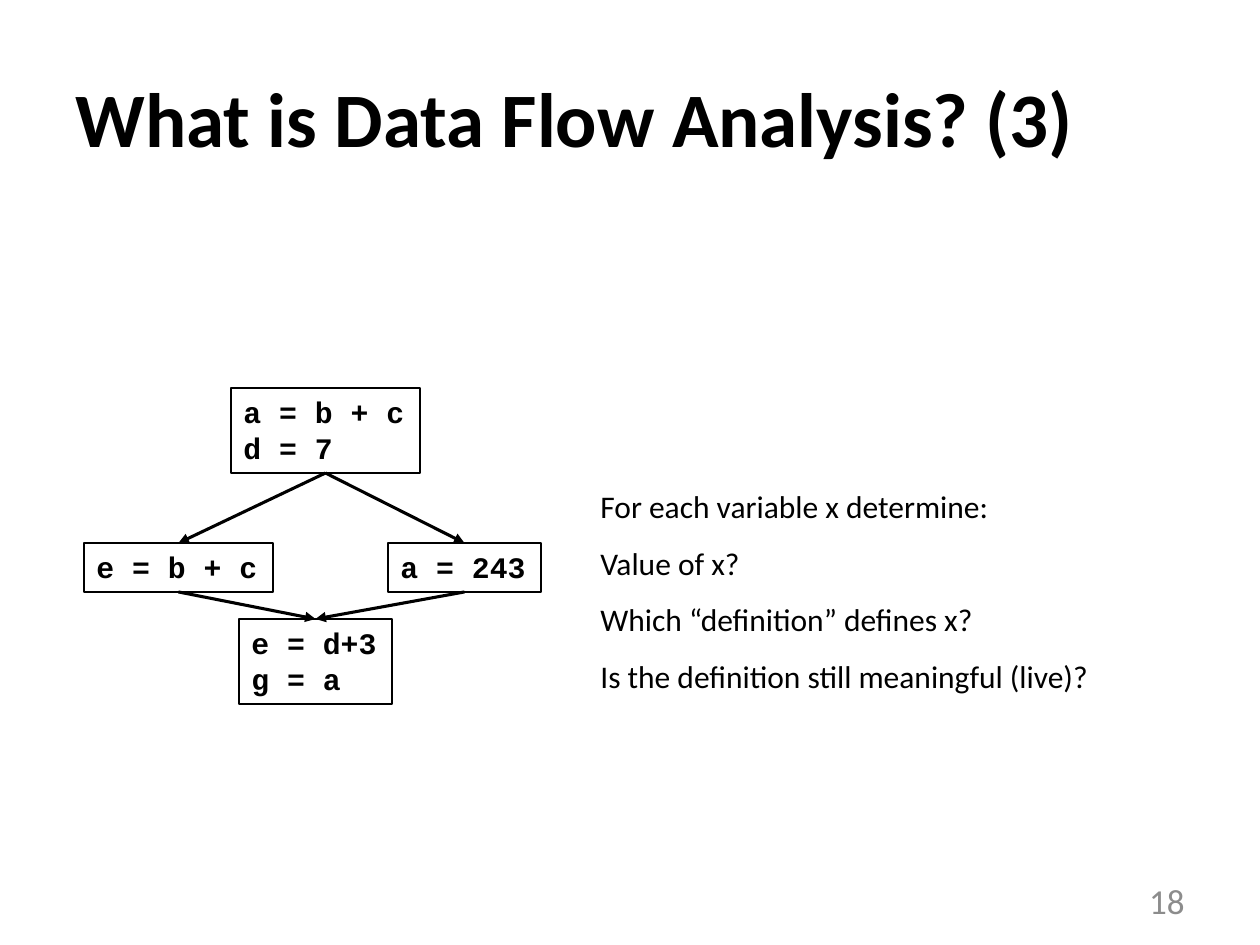
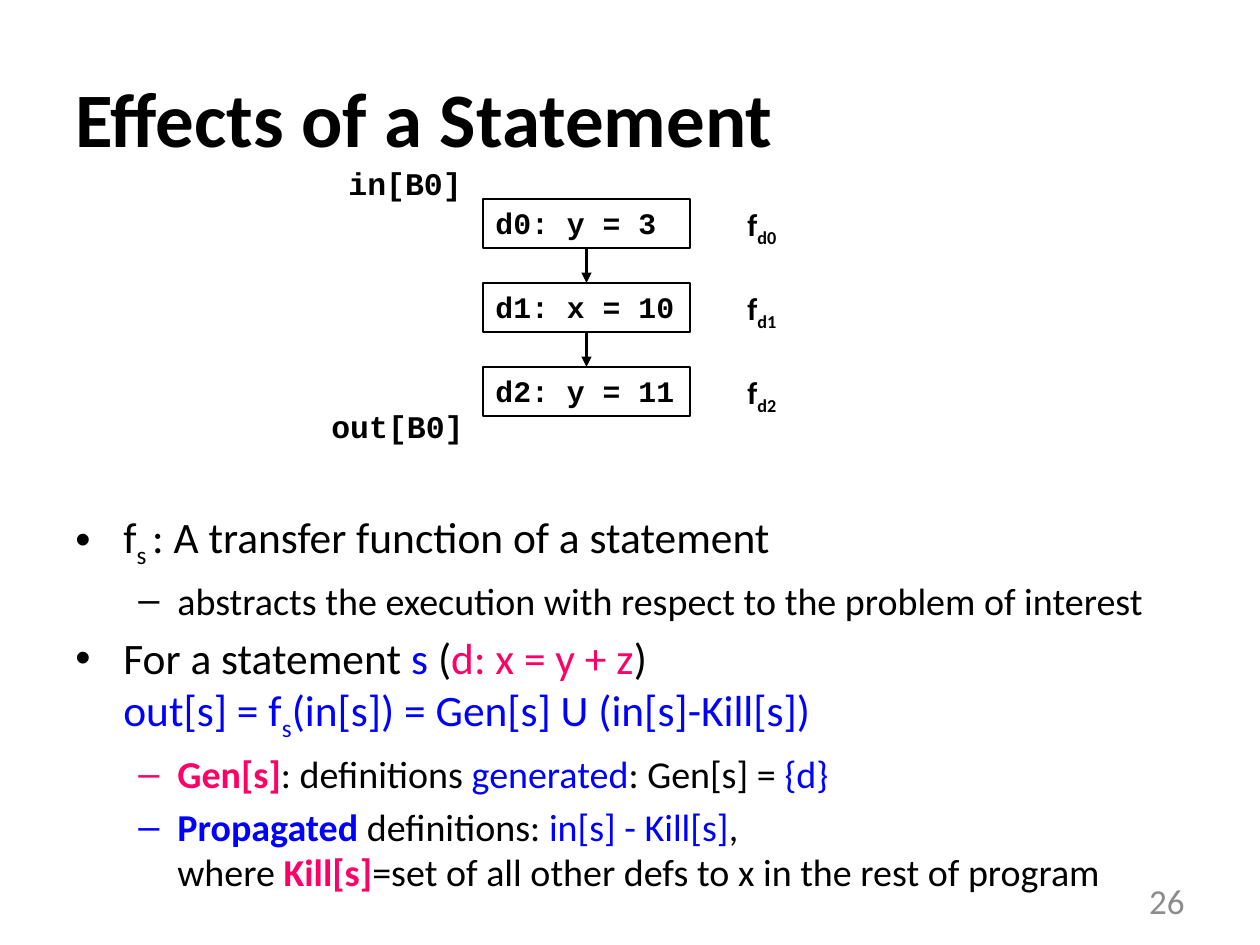
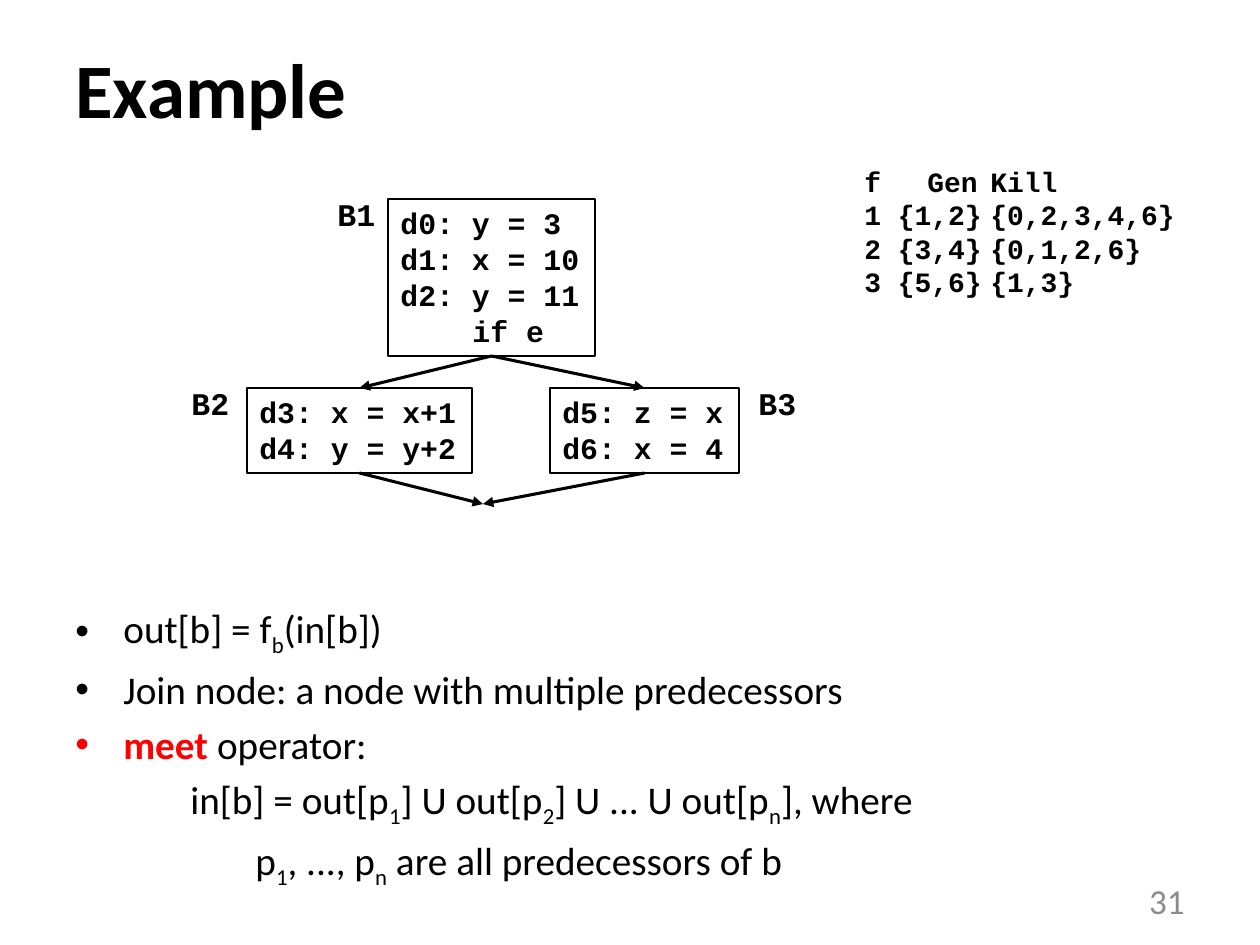
"""Builds three lecture slides on data flow analysis."""
from lxml.etree import SubElement
from pptx import Presentation
from pptx.dml.color import RGBColor
from pptx.enum.shapes import MSO_CONNECTOR as Connector, MSO_SHAPE as Shape
from pptx.enum.text import MSO_ANCHOR as Anchor, PP_ALIGN as Align
from pptx.oxml.ns import qn
from pptx.util import Emu, Pt

PX = 914400 / 126
COLORS = {"ink": "000000", "muted": "8C8C8C", "blue": "0000FF",
          "pink": "FF0066", "red": "FF0000"}
SANS, MONO = "Calibri", "Courier New"
TOP, BOTTOM = 0, 2
SUB = {"sub": True}
BLUE = {"color": "blue"}
PINK = {"color": "pink"}
TERM = {"color": "pink", "bold": True}
BULLETS = {0: ("•", 48, 48), 1: ("–", 102, 39)}


def px(length):
    return Emu(round(length * PX))


def rgb(name):
    return RGBColor.from_string(COLORS[name])


def add_span(para, text, size=18, font=SANS, color="ink", bold=False, sub=False):
    span = para.add_run()
    span.text = text
    span.font.size = Pt(size)
    span.font.name = font
    span.font.bold = bold
    span.font.color.rgb = rgb(color)
    if sub:
        span._r.get_or_add_rPr().set("baseline", "-25000")


def write(box, spans, align=Align.LEFT, spacing=None, before=0, indent=0,
          hanging=0, bullet=None, tabs=(), **style):
    """Add one paragraph; spans is a string or a list of strings and (text, style) pairs."""
    frame = box.text_frame
    para = frame.paragraphs[0]
    if para.runs:
        para = frame.add_paragraph()
    para.alignment = align
    para.space_before = Pt(before)
    if spacing:
        para.line_spacing = spacing
    props = para._p.get_or_add_pPr()
    props.set("marL", str(px(indent)))
    props.set("indent", str(px(-hanging)))
    if bullet:
        SubElement(props, qn("a:buFont")).set("typeface", "Arial")
        SubElement(props, qn("a:buChar")).set("char", bullet)
    if tabs:
        stops = SubElement(props, qn("a:tabLst"))
        for stop in tabs:
            tab = SubElement(stops, qn("a:tab"))
            tab.set("pos", str(px(stop)))
            tab.set("algn", "l")
    for span in [spans] if isinstance(spans, str) else spans:
        if span == "\n":
            para.add_line_break()
            continue
        text, own = (span, {}) if isinstance(span, str) else span
        add_span(para, text, **{**style, **own})


def text_box(page, left, top, width, height, *paras, anchor=Anchor.TOP, **style):
    box = page.shapes.add_textbox(px(left), px(top), px(width), px(height))
    box.text_frame.word_wrap = True
    box.text_frame.vertical_anchor = anchor
    for spans in paras:
        write(box, spans, **style)
    return box


def code_label(page, left, top, width, text, align=Align.LEFT):
    text_box(page, left, top, width, 50, text, font=MONO, bold=True, align=align)


def code_box(page, left, top, *lines, columns=0):
    """Add a framed block of code; leading spaces become an indent."""
    columns = columns or max(map(len, lines))
    box = page.shapes.add_shape(Shape.RECTANGLE, px(left), px(top),
                                px(18 * columns + 27), px(36 * len(lines) + 13))
    box.shadow.inherit = False
    box.fill.background()
    box.line.color.rgb = rgb("ink")
    box.line.width = Pt(1)
    box.text_frame.word_wrap = True
    box.text_frame.vertical_anchor = Anchor.TOP
    for line in lines:
        code = line.lstrip()
        write(box, code, size=17, font=MONO, bold=True,
              indent=18 * (len(line) - len(code)))
    return box


def arrow(page, source, target=None, point=(0, 0)):
    """Draw an arrow from a box's bottom to another's top, or to a free point."""
    x, y = map(px, point)
    line = page.shapes.add_connector(Connector.STRAIGHT, x, y, x, y)
    line.begin_connect(source, BOTTOM)
    if target is not None:
        line.end_connect(target, TOP)
    line.line.color.rgb = rgb("ink")
    line.line.width = Pt(1.75)
    SubElement(line.line._get_or_add_ln(), qn("a:tailEnd")).set("type", "triangle")
    SubElement(line._element.spPr, qn("a:effectLst"))


def bullet_item(box, spans, size, level=0):
    mark, indent, hanging = BULLETS[level]
    write(box, spans, size=size, before=size / 5, bullet=mark,
          indent=indent, hanging=hanging)


def new_page(deck, title, number, title_top=38):
    page = deck.slides.add_slide(deck.slide_layouts[6])
    text_box(page, 63, title_top, 1134, 158, title, size=44, bold=True,
             anchor=Anchor.MIDDLE)
    text_box(page, 903, 876, 294, 50, str(number), size=20, color="muted",
             align=Align.RIGHT, anchor=Anchor.MIDDLE)
    return page


def analysis_page(deck):
    page = new_page(deck, "What is Data Flow Analysis? (3)", 18)
    text_box(page, 588, 462, 520, 242,
             "For each variable x determine:",
             "Value of x?",
             "Which “definition” defines x?",
             "Is the definition still meaningful (live)?", spacing=1.5)
    entry = code_box(page, 231, 388, "a = b + c", "d = 7")
    merge = code_box(page, 239, 619, "e = d+3", "g = a")
    for left, code in ((84, "e = b + c"), (388, "a = 243")):
        branch = code_box(page, left, 543, code)
        arrow(page, entry, branch)
        arrow(page, branch, merge)


def statement_page(deck):
    page = new_page(deck, "Effects of a Statement", 26)
    previous = None
    for index, code in enumerate(("d0: y = 3", "d1: x = 10", "d2: y = 11")):
        top = 199 + 84 * index
        statement = code_box(page, 483, top, code, columns=10)
        text_box(page, 735, top, 60, 50, ["f", (f"d{index}", SUB)], bold=True)
        if previous is not None:
            arrow(page, previous, statement)
        previous = statement
    code_label(page, 336, 158, 142, "in[B0]")
    code_label(page, 316, 401, 160, "out[B0]", align=Align.RIGHT)

    body = text_box(page, 63, 504, 1134, 357)
    bullet_item(body, ["f", ("s ", SUB), ": A transfer function of a statement"], 24.8)
    bullet_item(body, "abstracts the execution with respect to the problem of interest",
                21.7, level=1)
    bullet_item(body, ["For a statement ", ("s", BLUE), " (", ("d: x = y + z", PINK), ")",
                       "\n", ("out[s] = f", BLUE), ("s", {**BLUE, **SUB}),
                       ("(in[s]) = Gen[s] U (in[s]-Kill[s])", BLUE)], 24.8)
    bullet_item(body, [("Gen[s]", TERM), ": definitions ", ("generated", BLUE),
                       ": Gen[s] = ", ("{d}", BLUE)], 21.7, level=1)
    bullet_item(body, [("Propagated", {**BLUE, "bold": True}), " definitions: ",
                       ("in[s] - Kill[s]", BLUE), ",", "\n", "where ", ("Kill[s]", TERM),
                       "=set of all other defs to x in the rest of program"],
                21.7, level=1)


def example_page(deck):
    page = new_page(deck, "Example", 31, title_top=9)
    sets = text_box(page, 852, 158, 345, 149)
    mono = {"size": 16, "font": MONO, "bold": True}
    write(sets, "f\tGen\tKill", tabs=(50, 134), **mono)
    for row in ("1 {1,2}\t{0,2,3,4,6}", "2 {3,4}\t{0,1,2,6}", "3 {5,6}\t{1,3}"):
        write(sets, row, tabs=(126,), **mono)

    entry = code_box(page, 388, 199, "d0: y = 3", "d1: x = 10", "d2: y = 11", "    if e")
    for left, lines in ((247, ("d3: x = x+1", "d4: y = y+2")),
                        (550, ("d5: z = x", "d6: x = 4"))):
        branch = code_box(page, left, 388, *lines)
        arrow(page, entry, branch)
        arrow(page, branch, point=(483, 504))
    for name, left, top in (("B1", 325, 189), ("B2", 179, 378), ("B3", 746, 378)):
        code_label(page, left, top, 70, name)

    size = 22.4
    body = text_box(page, 63, 598, 1134, 242)
    bullet_item(body, ["out[b] = f", ("b", SUB), "(in[b])"], size)
    bullet_item(body, "Join node: a node with multiple predecessors", size)
    bullet_item(body, [("meet", {"color": "red", "bold": True}), " operator:"], size)
    write(body, ["in[b] = out[p", ("1", SUB), "] U out[p", ("2", SUB),
                 "] U ... U out[p", ("n", SUB), "], where"],
          size=size, before=size / 5, indent=115)
    write(body, ["p", ("1", SUB), ", ..., p", ("n", SUB), " are all predecessors of b"],
          size=size, before=size / 5, indent=180)


def main():
    deck = Presentation()
    deck.slide_width, deck.slide_height = px(1260), px(945)
    analysis_page(deck)
    statement_page(deck)
    example_page(deck)
    deck.save("out.pptx")


if __name__ == "__main__":
    main()
